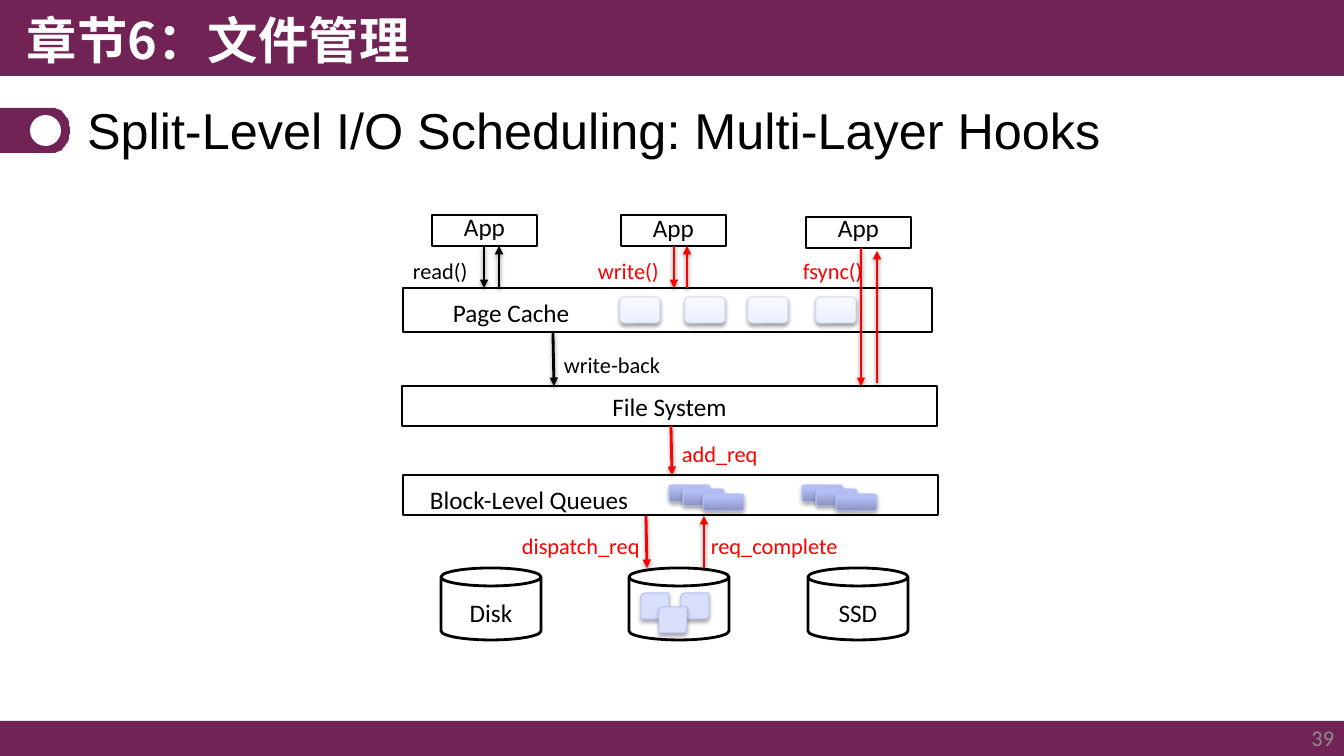
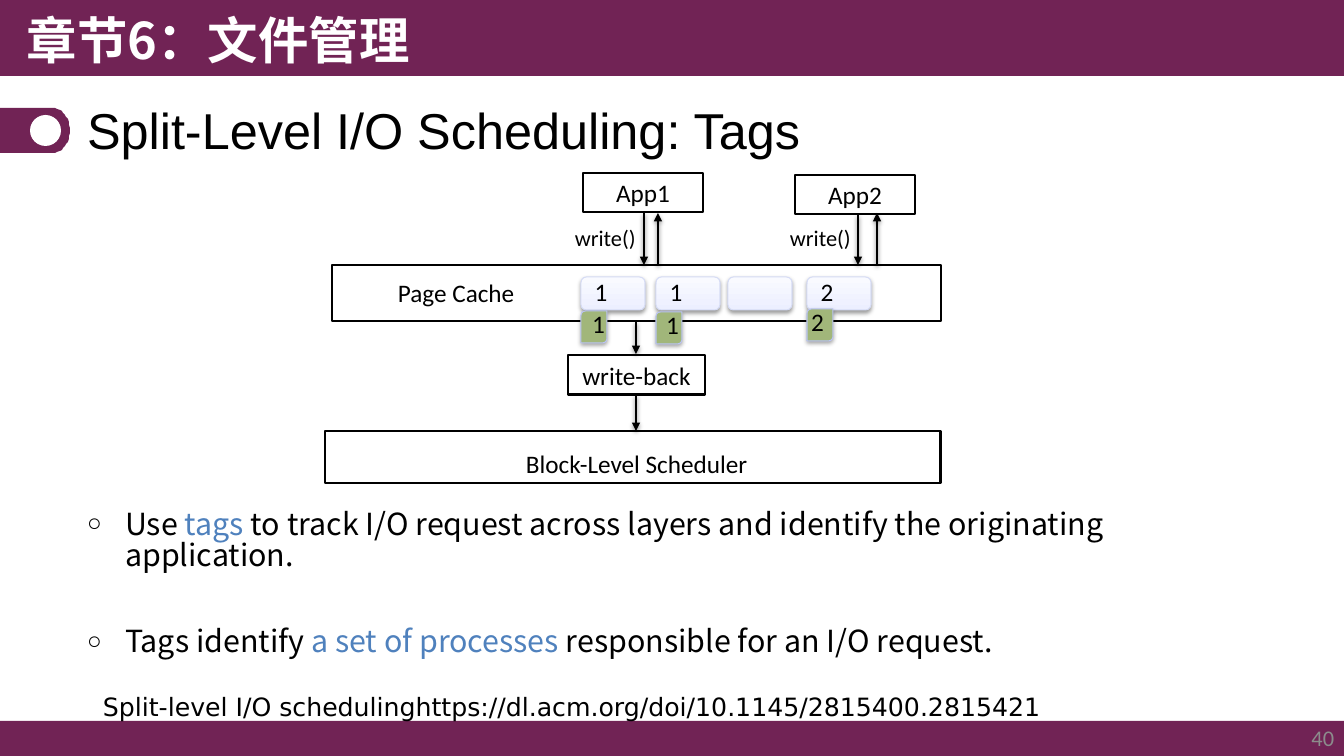
from math import cos, pi, sin

from lxml.etree import SubElement
from pptx import Presentation
from pptx.dml.color import RGBColor
from pptx.enum.shapes import MSO_CONNECTOR, MSO_SHAPE
from pptx.enum.text import MSO_ANCHOR, MSO_AUTO_SIZE, PP_ALIGN
from pptx.oxml.ns import qn
from pptx.util import Pt

EMU_PER_PX = 914400 / 100.8
PLUM, WHITE, BLACK, RED = "712355", "FFFFFF", "000000", "FF0000"
GREY, BLUE = "8C8C8C", "4F81BD"

CHAPTER_FONT = {"name": "Noto Sans CJK SC", "size": Pt(36), "bold": True}
TITLE_FONT = {"name": "Arial", "size": Pt(36)}
BODY_FONT = {"name": "Noto Sans CJK SC", "size": Pt(21.7)}
BOX_FONT = {"name": "Calibri", "size": Pt(18)}
CALL_FONT = {"name": "Calibri", "size": Pt(16)}
CITATION_FONT = {"name": "DejaVu Sans", "size": Pt(18)}


def px(*lengths):
    return [round(length * EMU_PER_PX) for length in lengths]


def write(paragraph, runs, font, layout):
    for key, value in layout.items():
        setattr(paragraph, key, value)
    for text, color in runs:
        run = paragraph.add_run()
        run.text = text
        run.font.color.rgb = RGBColor.from_string(color)
        for key, value in font.items():
            setattr(run.font, key, value)


styles = {
    "layer": {"preset": MSO_SHAPE.RECTANGLE, "fill": [(WHITE, 0)], "line": BLACK, "width": 2},
    "drive": {"preset": MSO_SHAPE.CAN, "fill": [(WHITE, 0)], "line": BLACK, "width": 2},
    "page": {"preset": MSO_SHAPE.ROUNDED_RECTANGLE, "fill": [("ECEFFF", 0), ("F9FAFF", 1)],
             "line": "D6DCF5", "width": 0.75, "shadow": 38},
    "request": {"preset": MSO_SHAPE.ROUNDED_RECTANGLE, "fill": [("8992BE", 0), ("B2BEF6", 0.8)],
                "line": "BAC4F2", "width": 0.75, "shadow": 35},
    "block": {"preset": MSO_SHAPE.ROUND_2_DIAG_RECTANGLE, "fill": [("D9DFFA", 0)],
              "line": "BAC4F2", "width": 0.75, "shadow": 35},
    "tag": {"preset": MSO_SHAPE.ROUND_2_DIAG_RECTANGLE, "fill": [("A1B67A", 0)],
            "line": "BAC4F2", "width": 0.75, "shadow": 35},
}

hook_boxes = [
    ("layer", 403, 288, 529, 44, "Page Cache", 50, 2),
    ("layer", 402, 386, 535, 40, "File System", None, 0),
    ("layer", 403, 475, 535, 40, "Block-Level Queues", 27, 4),
    ("layer", 432, 215, 105, 31, "App", None, -4),
    ("layer", 621, 215, 105, 31, "App", None, -3),
    ("layer", 806, 217, 105, 31, "App", None, -5),
    ("drive", 441, 568, 100, 72, "Disk", None, 4),
    ("drive", 629, 568, 100, 72, "", None, 0),
    ("drive", 808, 568, 100, 72, "SSD", None, 4),
]
hook_boxes += [("page", left, 297, 40, 26, "", None, 0) for left in (620, 685, 748, 816)]
hook_boxes += [("request", queue + right, 485 + down, 41, 17, "", None, 0)
               for queue in (669, 802) for right, down in ((0, 0), (14, 4), (34, 9))]
hook_boxes += [("block", left, top, 28, 26, "", None, 0)
               for left, top in ((641, 593), (681, 593), (659, 607))]

tag_boxes = [
    ("layer", 332, 265, 609, 56, "Page Cache", 66, -1),
    ("layer", 583, 173, 120, 39, "App1", None, 0),
    ("layer", 795, 175, 120, 39, "App2", None, 0),
    ("layer", 568, 355, 137, 40, "write-back", None, 0),
    ("layer", 325, 431, 616, 52, "Block-Level Scheduler", 201, 6),
]
tag_boxes += [("page", left, 277, 64, 33, owner, 12, -2)
              for left, owner in ((581, "1"), (656, "1"), (728, ""), (807, "2"))]
tag_boxes += [("tag", left, top, 26, 32, owner, indent, -4)
              for left, top, owner, indent in ((581, 311, "1", 10), (656, 312, "1", 9),
                                               (807, 309, "2", 3))]

pages = [
    {
        "number": "39",
        "layout": 5,
        "title": "Split-Level I/O Scheduling: Multi-Layer Hooks",
        "boxes": hook_boxes,
        "calls": [
            (403, 252, 81, "read()", BLACK),
            (588, 252, 91, "write()", RED),
            (793, 252, 82, "fsync()", RED),
            (554, 346, 133, "write-back", BLACK),
            (672, 435, 103, "add_req", RED),
            (512, 527, 149, "dispatch_req", RED),
            (701, 527, 156, "req_complete", RED),
        ],
        "arrows": [
            (484, 246, 484, 288, BLACK),
            (499, 288, 499, 246, BLACK),
            (674, 246, 674, 288, RED),
            (687, 288, 687, 246, RED),
            (861, 248, 861, 386, RED),
            (877, 383, 877, 251, RED),
            (553, 333, 554, 386, BLACK),
            (671, 426, 672, 475, RED),
            (646, 516, 647, 568, RED),
            (704, 568, 704, 516, RED),
        ],
    },
    {
        "number": "40",
        "layout": 1,
        "title": "Split-Level I/O Scheduling: Tags",
        "boxes": tag_boxes,
        "calls": [(565, 219, 83, "write()", BLACK), (780, 219, 94, "write()", BLACK)],
        "arrows": [
            (644, 213, 644, 265, BLACK),
            (658, 265, 658, 213, BLACK),
            (858, 215, 858, 265, BLACK),
            (877, 265, 877, 213, BLACK),
            (636, 322, 636, 354, BLACK),
            (636, 395, 636, 431, BLACK),
        ],
    },
]
points = [
    [("Use ", BLACK), ("tags", BLUE),
     (" to track I/O request across layers and identify the originating application.", BLACK)],
    [("Tags identify ", BLACK), ("a set of processes ", BLUE),
     ("responsible for an I/O request.", BLACK)],
]

prs = Presentation()
prs.slide_width, prs.slide_height = px(1344, 756)
slides = [prs.slides.add_slide(prs.slide_layouts[page["layout"]]) for page in pages]

canvas = slides[0].shapes
footer_band = canvas.add_shape(MSO_SHAPE.RECTANGLE, *px(0, 721, 1344, 36))
header_band = canvas.add_shape(MSO_SHAPE.RECTANGLE, *px(0, 0, 1344, 76))
outline = canvas.build_freeform(0, 108, scale=EMU_PER_PX)
tab_end = [(53 + 17 * sin(pi * step / 24), 130.5 - 22.5 * cos(pi * step / 24)) for step in range(25)]
outline.add_line_segments(tab_end + [(0, 153)], close=True)
title_tab = outline.convert_to_shape()
tab_hole = canvas.add_shape(MSO_SHAPE.OVAL, *px(30, 115, 31, 31))
for part, color in ((footer_band, PLUM), (header_band, PLUM), (title_tab, PLUM), (tab_hole, WHITE)):
    part.shadow.inherit = False
    part.fill.solid()
    part.fill.fore_color.rgb = RGBColor.from_string(color)
    part.line.fill.background()
chapter = canvas.add_textbox(*px(17, 0, 672, 78))
chapter.text_frame.word_wrap = True
chapter.text_frame.vertical_anchor = MSO_ANCHOR.MIDDLE
write(chapter.text_frame.paragraphs[0], [("章节6：文件管理", WHITE)], CHAPTER_FONT, {})
chapter_run = chapter.text_frame.paragraphs[0].runs[0]
SubElement(chapter_run.font._element, qn("a:ea"), typeface=CHAPTER_FONT["name"])
master_parts = (footer_band, header_band, title_tab, tab_hole, chapter)
for part_id, part in enumerate(master_parts, start=20):
    part.element.nvSpPr.cNvPr.set("id", str(part_id))
    prs.slide_master.shapes.element.append(part.element)

for slide, page in zip(slides, pages):
    title = slide.shapes.title
    title.left, title.top, title.width, title.height = px(77, 96, 1190, 75)
    title.text_frame.vertical_anchor = MSO_ANCHOR.MIDDLE
    write(title.text_frame.paragraphs[0], [(page["title"], BLACK)], TITLE_FONT,
          {"alignment": PP_ALIGN.LEFT, "line_spacing": 0.9})

    number = slide.shapes.add_textbox(*px(1041, 720, 303, 36))
    number.text_frame.word_wrap = True
    number.text_frame.vertical_anchor = MSO_ANCHOR.MIDDLE
    write(number.text_frame.paragraphs[0], [(page["number"], GREY)], CALL_FONT,
          {"alignment": PP_ALIGN.RIGHT})

    shadowed = []
    for style_name, left, top, width, height, text, indent, drop in page["boxes"]:
        style = styles[style_name]
        box = slide.shapes.add_shape(style["preset"], *px(left, top, width, height))
        box.shadow.inherit = False
        if len(style["fill"]) == 1:
            box.fill.solid()
            box.fill.fore_color.rgb = RGBColor.from_string(style["fill"][0][0])
        else:
            box.fill.gradient()
            box.fill.gradient_angle = 90
            for stop, (color, position) in zip(box.fill.gradient_stops, style["fill"]):
                stop.color.rgb = RGBColor.from_string(color)
                stop.position = position
        box.line.color.rgb = RGBColor.from_string(style["line"])
        box.line.width = Pt(style["width"])
        if "shadow" in style:
            shadowed.append((box.element.spPr.find(qn("a:effectLst")), style["shadow"]))
        if text:
            margins = px(indent or 0, max(2 * drop, 0), 0, max(-2 * drop, 0))
            for side, margin in zip(("left", "top", "right", "bottom"), margins):
                setattr(box.text_frame, f"margin_{side}", margin)
            box.text_frame.vertical_anchor = MSO_ANCHOR.MIDDLE
            alignment = PP_ALIGN.CENTER if indent is None else PP_ALIGN.LEFT
            write(box.text_frame.paragraphs[0], [(text, BLACK)], BOX_FONT, {"alignment": alignment})

    for left, top, width, text, color in page["calls"]:
        call = slide.shapes.add_textbox(*px(left, top, width, 37))
        call.text_frame.word_wrap = True
        write(call.text_frame.paragraphs[0], [(text, color)], CALL_FONT, {})

    for x1, y1, x2, y2, color in page["arrows"]:
        arrow = slide.shapes.add_connector(MSO_CONNECTOR.STRAIGHT, *px(x1, y1, x2, y2))
        arrow.line.color.rgb = RGBColor.from_string(color)
        arrow.line.width = Pt(2)
        SubElement(arrow.line._get_or_add_ln(), qn("a:tailEnd"), type="triangle")
        shadowed.append((SubElement(arrow.element.spPr, qn("a:effectLst")), 38))

    for effects, opacity in shadowed:
        shadow = SubElement(effects, qn("a:outerShdw"), blurRad=str(Pt(3.1)), dist=str(Pt(1.6)),
                            dir="5400000", rotWithShape="0")
        shade = SubElement(shadow, qn("a:srgbClr"), val=BLACK)
        SubElement(shade, qn("a:alpha"), val=str(opacity * 1000))

tags_slide = slides[1]
body = tags_slide.placeholders[1]
body.left, body.top, body.width, body.height = px(77, 506, 1190, 162)
body.text_frame.auto_size = MSO_AUTO_SIZE.NONE
for index, runs in enumerate(points):
    point = body.text_frame.add_paragraph() if index else body.text_frame.paragraphs[0]
    properties = point._p.get_or_add_pPr()
    indent = px(38)[0]
    properties.set("marL", str(indent))
    properties.set("indent", str(-indent))
    bullet_color = SubElement(properties, qn("a:buClr"))
    SubElement(bullet_color, qn("a:srgbClr"), val=BLACK)
    SubElement(properties, qn("a:buSzPct"), val="80000")
    SubElement(properties, qn("a:buChar"), char="○")
    write(point, runs, BODY_FONT, {"line_spacing": 0.84, "space_after": Pt(36),
                                   "space_before": Pt(4 if index else 0)})

citation = tags_slide.shapes.add_textbox(*px(93, 692, 1096, 34))
citation.text_frame.word_wrap = True
write(citation.text_frame.paragraphs[0],
      [("Split-level I/O schedulinghttps://dl.acm.org/doi/10.1145/2815400.2815421", BLACK)],
      CITATION_FONT, {"line_spacing": 0.8})

prs.save("out.pptx")
